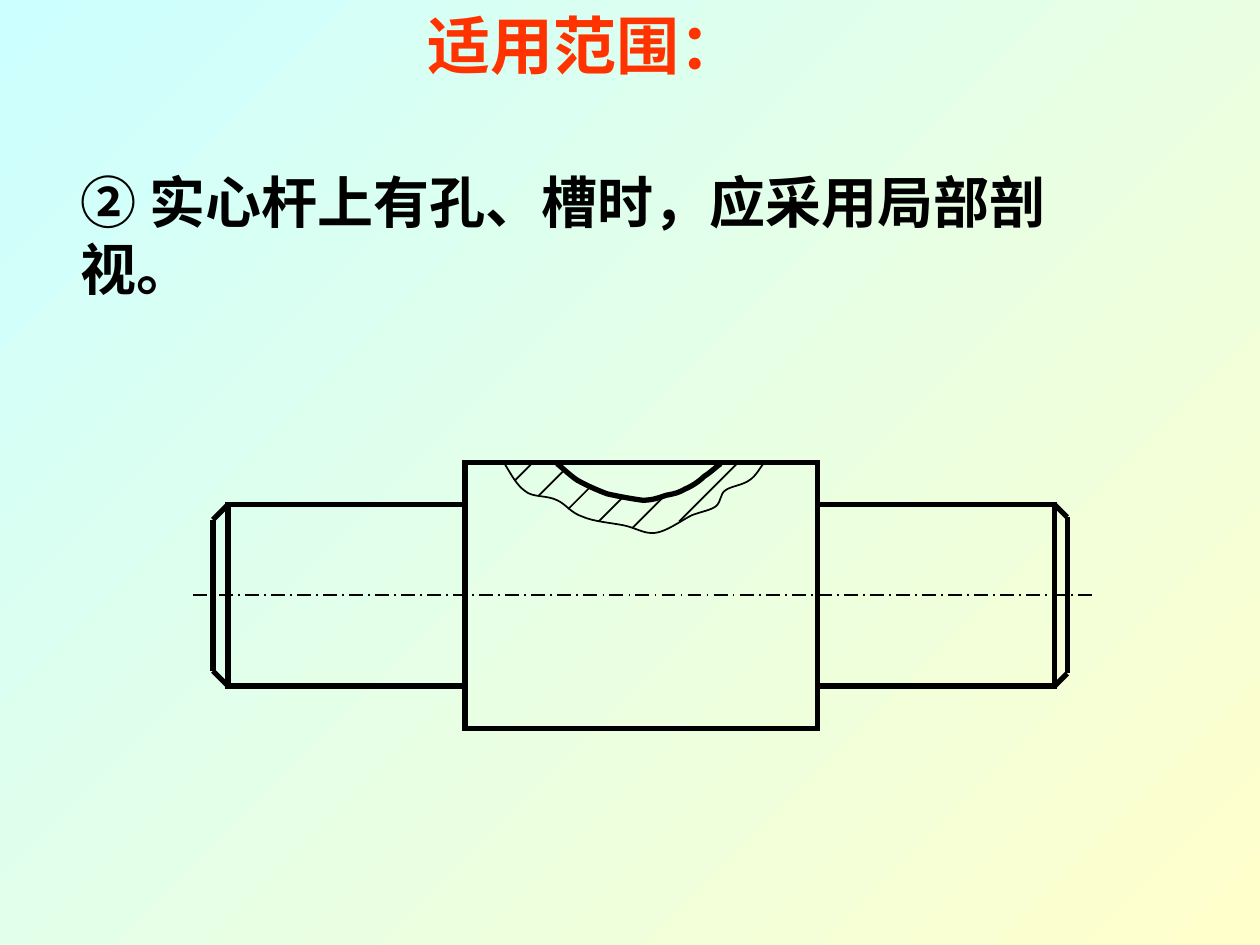
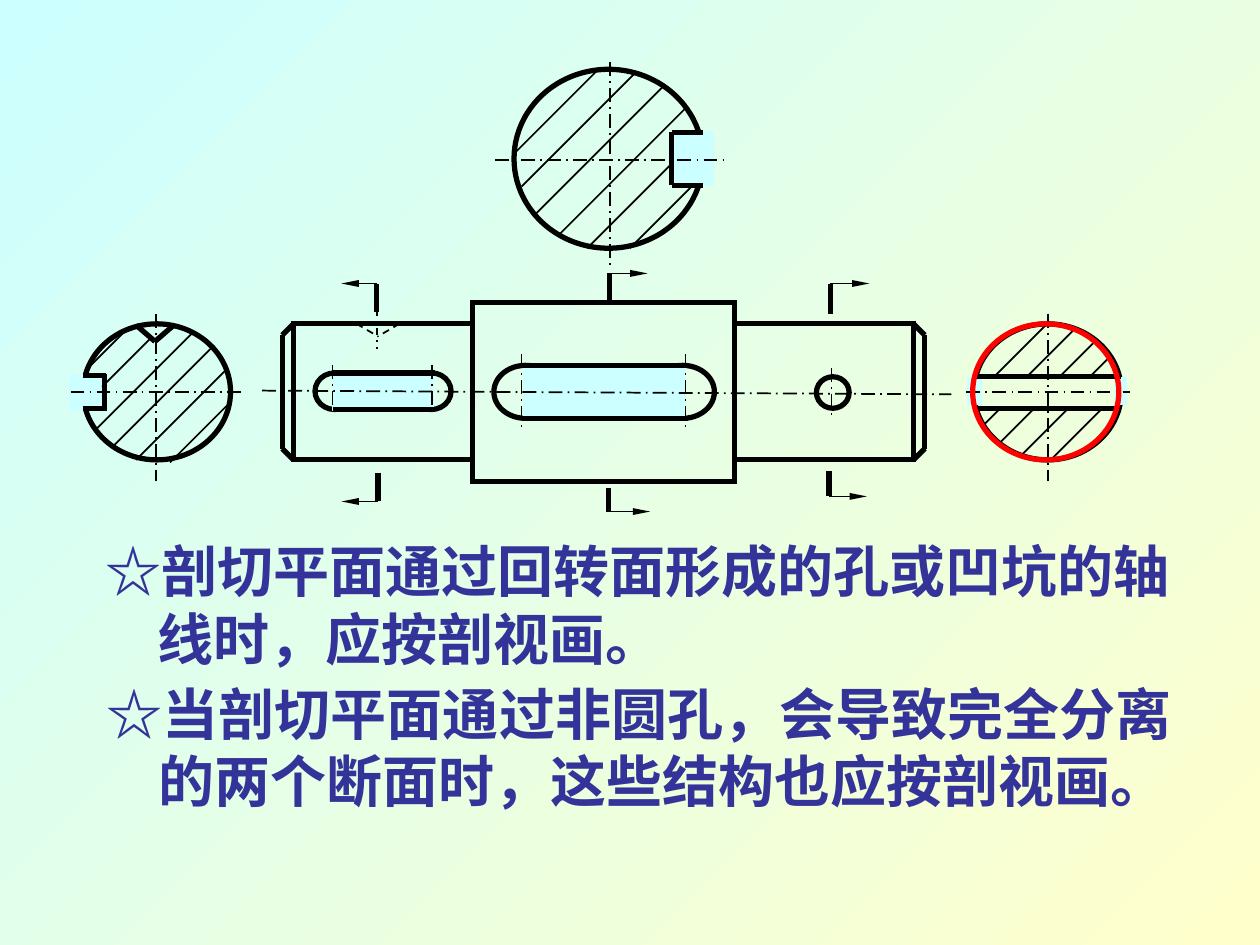
import pptx
import pptx.util
import pptx.dml.color
import pptx.enum.dml
import pptx.enum.shapes
import pptx.enum.text
import pptx.oxml
import pptx.oxml.ns
from lxml import etree

Inches = pptx.util.Inches
SHAPE = pptx.enum.shapes.MSO_SHAPE
DASH = pptx.enum.dml.MSO_LINE
ALIGN = pptx.enum.text.PP_ALIGN
AXIS = DASH.LONG_DASH_DOT
qn = pptx.oxml.ns.qn


def rgb(value):
    return pptx.dml.color.RGBColor.from_string(value)


class Drawing:
    ink, cut, red, blue = "000000", "CCFFFF", "FF3300", "333399"
    paper = ("CCFFFF", "FFFFCC")
    font = "Times New Roman"
    thick, thin = 3, 1

    def __init__(self, prs):
        self.prs = prs

    def new_slide(self):
        self.s = self.prs.slides.add_slide(self.prs.slide_layouts[6])
        fill = self.s.background.fill
        fill.gradient()
        fill.gradient_angle = 315
        for stop, color in zip(fill.gradient_stops, self.paper):
            stop.color.rgb = rgb(color)

    def text(self, x, y, w, h, paragraphs, size=32, color=ink, align=ALIGN.LEFT,
             wrap=True, indents=(0,)):
        tf = self.s.shapes.add_textbox(Inches(x), Inches(y), Inches(w), Inches(h)).text_frame
        tf.word_wrap = wrap
        tf.vertical_anchor = pptx.enum.text.MSO_ANCHOR.MIDDLE
        for i, (line, indent) in enumerate(zip(paragraphs, indents)):
            p = tf.paragraphs[0] if i == 0 else tf.add_paragraph()
            p.alignment = align
            pPr = p._p.get_or_add_pPr()
            pPr.set("marL", str(Inches(indent)))
            pPr.set("indent", "0")
            r = p.add_run()
            r.text = line
            r.font.name, r.font.size, r.font.bold = self.font, pptx.util.Pt(size), True
            r.font.color.rgb = rgb(color)

    def style_line(self, sp, color, width, dash=None):
        sp.line.color.rgb = rgb(color)
        sp.line.width = pptx.util.Pt(width)
        if dash:
            sp.line.dash_style = dash

    def style_shape(self, sp, color, width, fill=None):
        sp.shadow.inherit = False
        self.style_line(sp, color, width)
        etree.SubElement(sp.line._get_or_add_ln(), qn("a:miter"), lim="800000")
        if fill:
            sp.fill.solid()
            sp.fill.fore_color.rgb = rgb(fill)
        else:
            sp.fill.background()

    def shape(self, kind, x, y, w, h, color=ink, width=thick, fill=None):
        sp = self.s.shapes.add_shape(kind, Inches(x), Inches(y), Inches(w), Inches(h))
        self.style_shape(sp, color, width, fill)

    def blank(self, x, y, w, h, width=thick):
        self.shape(SHAPE.RECTANGLE, x, y, w, h, self.cut, width, self.cut)

    def line(self, x1, y1, x2, y2, width=thick, dash=None, arrow=False):
        sp = self.s.shapes.add_connector(pptx.enum.shapes.MSO_CONNECTOR.STRAIGHT,
                                         Inches(x1), Inches(y1), Inches(x2), Inches(y2))
        self.style_line(sp, self.ink, width, dash)
        if arrow:
            etree.SubElement(sp.line._get_or_add_ln(), qn("a:tailEnd"),
                             type="triangle", w="sm", len="lg")
        etree.SubElement(sp._element.spPr, qn("a:effectLst"))

    def axis(self, x1, y1, x2, y2):
        self.line(x1, y1, x2, y2, self.thin, AXIS)

    def curve(self, start, curves, width):
        """Chain of cubic curves, each (x1, y1, x2, y2, x, y)."""
        points = [(Inches(c[i]), Inches(c[i + 1])) for c in curves for i in (0, 2, 4)]
        builder = self.s.shapes.build_freeform(Inches(start[0]), Inches(start[1]))
        builder.add_line_segments(points, close=False)
        sp = builder.convert_to_shape()
        # Turn every three line segments into one cubic curve
        segments = list(sp._element.iter(qn("a:lnTo")))
        for i in range(0, len(segments), 3):
            cubic = etree.Element(qn("a:cubicBezTo"))
            segments[i].addprevious(cubic)
            for segment in segments[i:i + 3]:
                cubic.append(segment[0])
                segment.getparent().remove(segment)
        self.style_shape(sp, self.ink, width)

    def hatch(self, strokes):
        """45-degree strokes, each given by its lower left end and its rise."""
        for x, y, rise in strokes:
            self.line(x, y, x + rise, y - rise, self.thin)

    def shaft(self, x, y, w, h, journal_w, journal_h, chamfers):
        """A thick middle with a chamfered journal on each side."""
        self.shape(SHAPE.RECTANGLE, x, y, w, h)
        top = y + (h - journal_h) / 2
        bottom = top + journal_h
        for inner, side, chamfer in zip((x, x + w), (-1, 1), chamfers):
            end = inner + side * journal_w
            tip = end + side * chamfer
            self.shape(SHAPE.RECTANGLE, min(inner, end), top, journal_w, journal_h)
            self.line(end, top, tip, top + chamfer)
            self.line(end, bottom, tip, bottom - chamfer)
            self.line(tip, top + chamfer, tip, bottom - chamfer)

    def keyway(self, x, y, w, h, end_w, axes, overhang):
        for left in (x, x + w - end_w):
            self.shape(SHAPE.OVAL, left, y, end_w, h)
        self.blank(x + end_w / 2, y, w - end_w, h)
        for axis_x in axes:
            self.axis(axis_x, y - overhang, axis_x, y + h + overhang)
        for edge in (y, y + h):
            self.line(axes[0], edge, axes[1] + 0.02, edge)

    def cutting_mark(self, x, inner, outer, tip):
        self.line(x, inner, x, outer)
        self.line(x, outer, tip, outer, self.thin, arrow=True)


def solid_rod_slide(d):
    d.new_slide()
    d.text(3.29, 0, 2.7, 0.7, ["适用范围："], size=36, color=d.red,
           align=ALIGN.CENTER, wrap=False)
    # An en space separates the number from the sentence
    d.text(0.54, 1.28, 8.2, 1.17, ["② 实心杆上有孔、槽时，应采用局部剖视。"])
    d.axis(1.53, 4.72, 8.7, 4.72)
    d.shaft(3.69, 3.67, 2.8, 2.11, 1.88, 1.44, (0.12, 0.1))

    # Groove and the wavy break line round it
    d.curve((4.42, 3.68), [
        (4.45, 3.7, 4.52, 3.77, 4.58, 3.81), (4.65, 3.85, 4.74, 3.89, 4.82, 3.92),
        (4.91, 3.94, 5.02, 3.96, 5.1, 3.97), (5.18, 3.97, 5.23, 3.95, 5.29, 3.93),
        (5.35, 3.92, 5.39, 3.91, 5.44, 3.88), (5.49, 3.86, 5.55, 3.82, 5.59, 3.78),
        (5.64, 3.75, 5.69, 3.7, 5.72, 3.68)], d.thick)
    d.curve((4.01, 3.69), [
        (4.06, 3.77, 4.1, 3.85, 4.17, 3.9), (4.23, 3.95, 4.34, 3.93, 4.42, 3.97),
        (4.49, 4, 4.53, 4.07, 4.62, 4.1), (4.71, 4.14, 4.85, 4.15, 4.95, 4.17),
        (5.05, 4.19, 5.11, 4.24, 5.2, 4.23), (5.29, 4.22, 5.41, 4.13, 5.49, 4.09),
        (5.57, 4.06, 5.64, 4.05, 5.68, 4.02), (5.73, 3.98, 5.71, 3.92, 5.76, 3.89),
        (5.8, 3.86, 5.9, 3.85, 5.95, 3.81), (6, 3.78, 6.04, 3.7, 6.06, 3.68)], d.thin)
    d.hatch([(4.09, 3.81, 0.15), (4.27, 3.94, 0.2), (4.51, 4.04, 0.18),
             (4.75, 4.14, 0.2), (5.02, 4.19, 0.26), (5.39, 4.14, 0.47)])


def sections_slide(d):
    d.new_slide()

    # Upper section with a keyway
    d.axis(4.84, 0.49, 4.84, 2.14)
    d.shape(SHAPE.OVAL, 4.08, 0.55, 1.5, 1.42)
    d.blank(5.33, 1.05, 0.33, 0.42, d.thin)
    d.line(5.33, 1.05, 5.33, 1.47)
    for y in (1.05, 1.47):
        d.line(5.33, y, 5.58, y)
    d.axis(3.93, 1.27, 5.76, 1.27)
    d.hatch([(4.08, 1.22, 0.67), (4.14, 1.48, 0.89), (4.24, 1.71, 1.04),
             (4.43, 1.87, 1.02), (4.66, 1.97, 0.67), (5, 1.97, 0.5)])

    # Cutting plane marks
    for mark in [(4.84, 2.38, 2.17, 5.14), (4.83, 3.87, 4.06, 5.16),
                 (6.59, 2.49, 2.25, 6.9), (6.58, 3.74, 3.94, 6.88),
                 (2.99, 2.48, 2.25, 2.71), (3, 3.75, 3.98, 2.71)]:
        d.cutting_mark(*mark)

    # Left section with a keyway and a conical pit
    d.axis(1.24, 2.49, 1.24, 3.82)
    d.shape(SHAPE.OVAL, 0.66, 2.57, 1.17, 1.08)
    d.blank(0.57, 2.99, 0.25, 0.25)
    for y in (2.98, 3.24):
        d.line(0.66, y, 0.84, y)
    d.line(0.83, 2.97, 0.83, 3.26)
    for x in (1.08, 1.38):
        d.line(x, 2.58, 1.23, 2.71)
    d.axis(0.56, 3.11, 1.92, 3.11)
    d.hatch([(0.67, 2.95, 0.32), (0.81, 3.07, 0.39), (0.75, 3.42, 0.78),
             (0.89, 3.55, 0.81), (1.08, 3.65, 0.73), (1.35, 3.67, 0.47)])

    # Right section with a through hole
    d.shape(SHAPE.OVAL, 7.73, 2.57, 1.17, 1.08)
    for x, w in ((7.68, 0.11), (8.85, 0.09)):
        d.blank(x, 3, w, 0.21, 0.75)
    d.axis(7.67, 3.11, 8.97, 3.11)
    d.axis(8.32, 2.49, 8.32, 3.82)
    for y in (2.99, 3.24):
        d.line(7.73, y, 8.9, y)
    d.hatch([(7.9, 2.98, 0.42), (8.16, 2.98, 0.36), (8.42, 2.98, 0.28), (8.65, 2.99, 0.17),
             (7.81, 3.37, 0.13), (7.93, 3.52, 0.28), (8.1, 3.62, 0.38), (8.33, 3.66, 0.43)])
    d.shape(SHAPE.OVAL, 7.72, 2.57, 1.16, 1.08, color="FF0000")

    # Shaft with pit, keyways and hole
    d.shaft(3.75, 2.4, 2.08, 1.42, 1.42, 1.08, (0.09, 0.09))
    d.line(2.99, 2.45, 2.99, 2.77, d.thin, DASH.DASH_DOT)
    for x in (2.83, 3.17):
        d.line(x, 2.57, 3, 2.67, d.thin, DASH.DASH)
    d.keyway(2.5, 2.96, 1.08, 0.29, 0.31, (2.64, 3.43), 0.06)
    d.keyway(3.92, 2.9, 1.75, 0.42, 0.5, (4.14, 5.44), 0.09)
    d.shape(SHAPE.OVAL, 6.48, 2.99, 0.26, 0.25)
    d.axis(6.6, 2.92, 6.6, 3.33)
    d.axis(2.08, 3.1, 7.55, 3.13)

    # Rules
    for x, y, w, lines in [
            (0.74, 4.21, 9.26, ["☆剖切平面通过回转面形成的孔或凹坑的轴", "线时，应按剖视画。"]),
            (0.75, 5.34, 9.09, ["☆当剖切平面通过非圆孔，会导致完全分离",
                                "的两个断面时，这些结构也应按剖视画。"])]:
        d.text(x, y, w, 1.17, lines, color=d.blue, indents=(0, 0.41))


def main():
    prs = pptx.Presentation()
    prs.slide_width, prs.slide_height = Inches(10), Inches(7.5)
    d = Drawing(prs)
    solid_rod_slide(d)
    sections_slide(d)
    prs.save("out.pptx")


if __name__ == "__main__":
    main()
